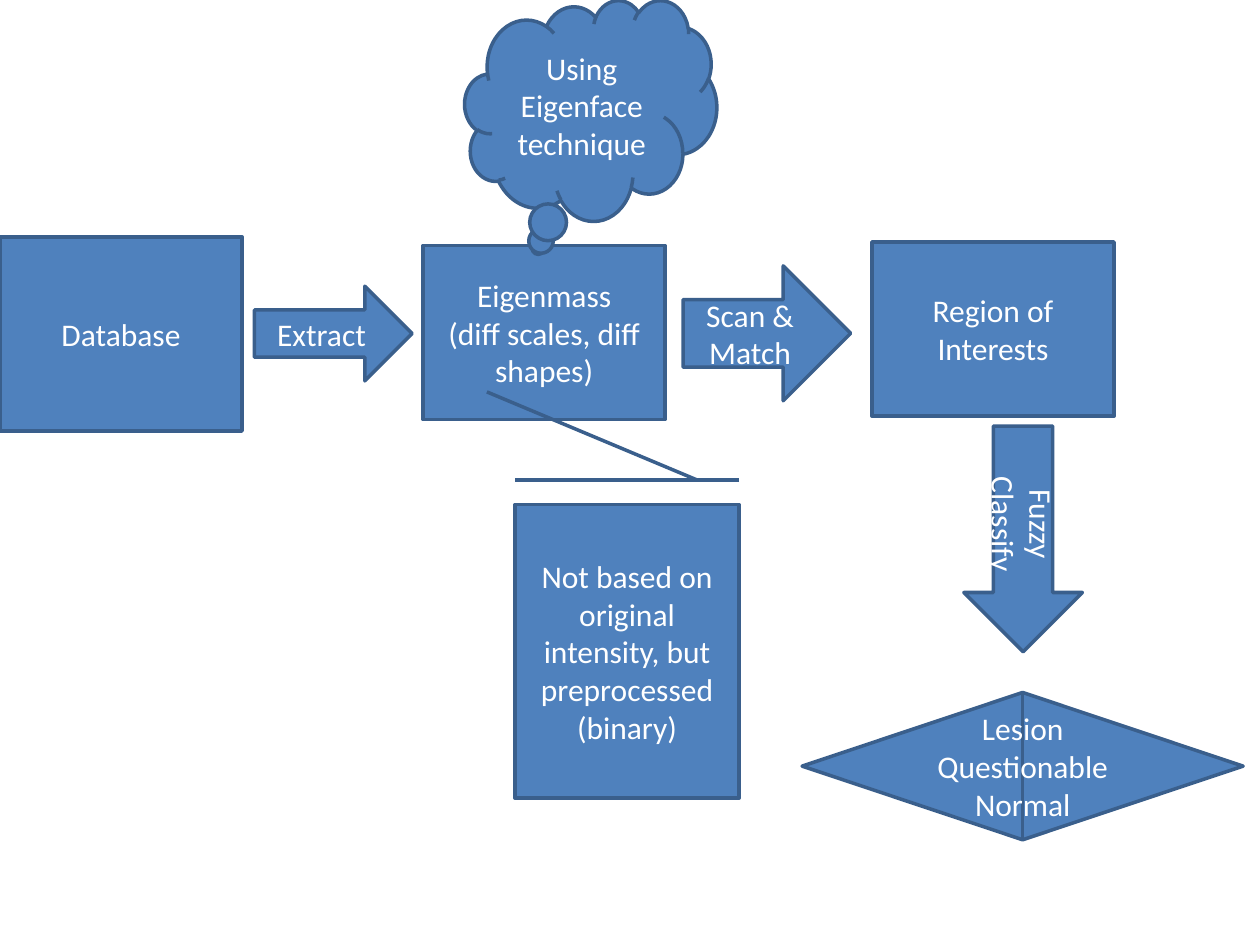
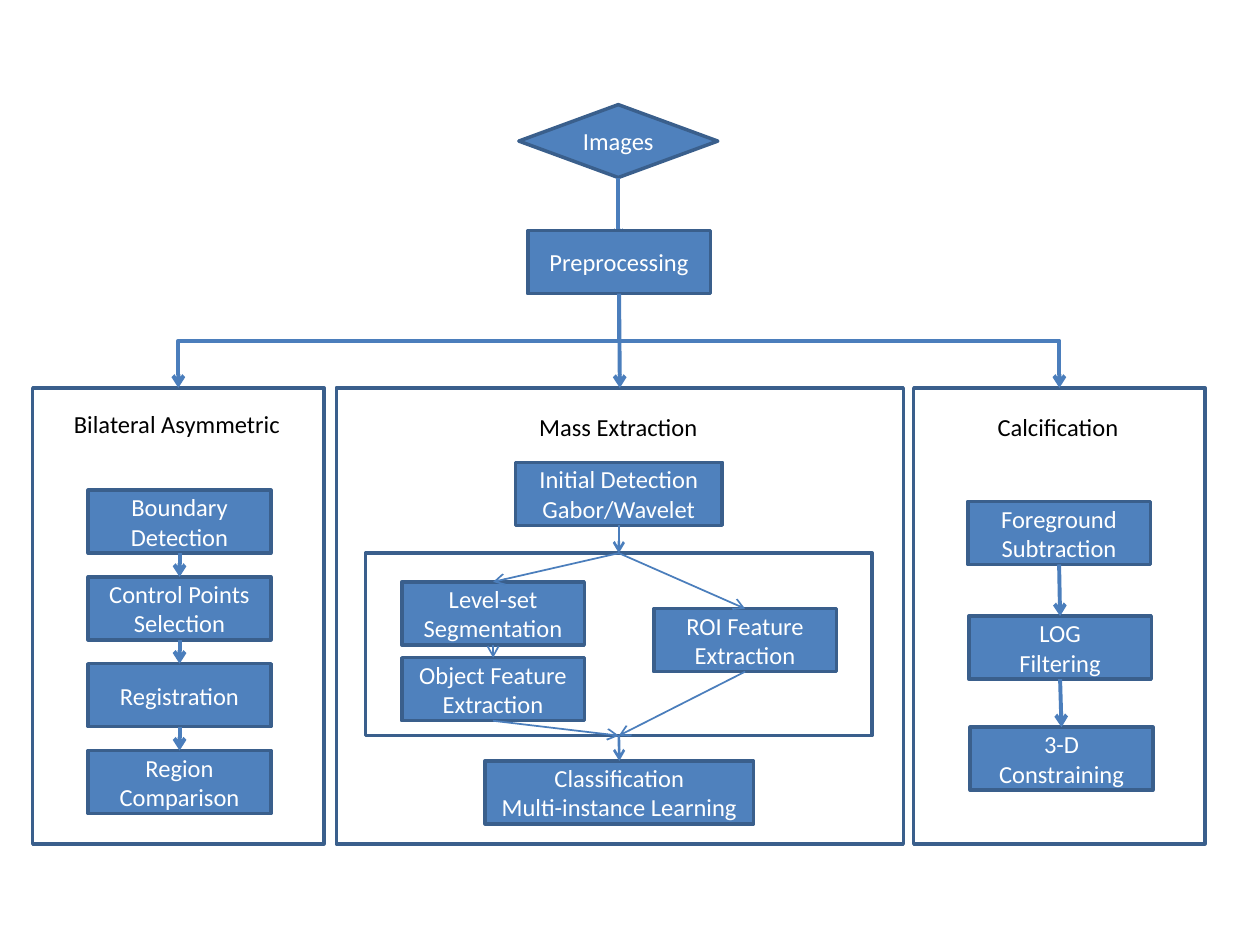
from dataclasses import dataclass

from lxml import etree
from pptx import Presentation
from pptx.dml.color import RGBColor
from pptx.enum import shapes, text
from pptx.oxml.ns import qn
from pptx.util import Cm, Pt

# Shared style
FONT = "Calibri"
BLUE, EDGE, ARROW = "4F81BD", "3A5F8C", "4B7EBC"
WHITE, BLACK = "FFFFFF", "000000"
BLANK_LAYOUT = 6
Kind = shapes.MSO_SHAPE


@dataclass
class Node:
    """A flow chart shape; lengths in centimetres."""
    label: str
    left: float
    top: float
    width: float = 3.68
    height: float = 1.27
    kind: Kind = Kind.FLOWCHART_PROCESS
    fill: str | None = BLUE
    rotation: int = 0
    direction: str | None = None

    @property
    def head(self) -> tuple[float, float]:
        return self.left + self.width / 2, self.top

    @property
    def foot(self) -> tuple[float, float]:
        return self.left + self.width / 2, self.top + self.height


def colour(hex_code: str) -> RGBColor:
    return RGBColor.from_string(hex_code)


def write(frame, content: str, *, size: int, ink: str, align=None) -> None:
    """Fill a text frame, one paragraph a line."""
    for number, line in enumerate(content.split("\n")):
        paragraph = frame.add_paragraph() if number else frame.paragraphs[0]
        paragraph.alignment = align
        run = paragraph.add_run()
        run.text = line
        run.font.name, run.font.size = FONT, Pt(size)
        run.font.color.rgb = colour(ink)


def draw_node(slide, node: Node, size: int) -> None:
    box = slide.shapes.add_shape(node.kind, Cm(node.left), Cm(node.top),
                                 Cm(node.width), Cm(node.height))
    box.shadow.inherit = False
    box.rotation = node.rotation
    if node.fill:
        box.fill.solid()
        box.fill.fore_color.rgb = colour(node.fill)
    else:
        box.fill.background()
    box.line.color.rgb = colour(EDGE)
    box.line.width = Pt(2)
    if node.label:
        frame = box.text_frame
        frame.word_wrap = True
        frame.vertical_anchor = text.MSO_ANCHOR.MIDDLE
        if node.direction:
            frame._txBody.bodyPr.set("vert", node.direction)
        write(frame, node.label, size=size, ink=WHITE, align=text.PP_ALIGN.CENTER)


def draw_caption(slide, content: str, left: float, top: float, width: float) -> None:
    frame = slide.shapes.add_textbox(Cm(left), Cm(top), Cm(width), Cm(0.86)).text_frame
    frame.word_wrap = False
    frame.auto_size = text.MSO_AUTO_SIZE.SHAPE_TO_FIT_TEXT
    write(frame, content, size=14, ink=BLACK)


def draw_arrow(slide, start: tuple[float, float], end: tuple[float, float],
               weight: float = 2.25, bent: bool = False) -> None:
    """Draw an arrow; a bent one leaves downwards, turns and arrives downwards."""
    (x1, y1), (x2, y2) = start, end
    rightward = x2 > x1
    kind = shapes.MSO_CONNECTOR.STRAIGHT
    if bent:
        # A bent connector runs sideways, so lay it flat before turning it
        kind = shapes.MSO_CONNECTOR.ELBOW
        middle_x, middle_y = (x1 + x2) / 2, (y1 + y2) / 2
        reach = (y2 - y1) / 2 * (-1 if rightward else 1)
        spread = abs(x2 - x1) / 2
        x1, x2 = middle_x - reach, middle_x + reach
        y1, y2 = middle_y - spread, middle_y + spread
    arrow = slide.shapes.add_connector(kind, Cm(x1), Cm(y1), Cm(x2), Cm(y2))
    arrow.line.color.rgb = colour(ARROW)
    arrow.line.width = Pt(weight)
    properties = arrow._element.spPr
    if bent:
        turn = 270 if rightward else 90
        properties.find(qn("a:xfrm")).set("rot", str(turn * 60000))
    etree.SubElement(properties.find(qn("a:ln")), qn("a:tailEnd"), type="arrow")
    etree.SubElement(properties, qn("a:effectLst"))


def build_eigenmass_slide(slide) -> None:
    stages = [
        Node("Database", 0, 4.78, 4.88, 3.91, Kind.RECTANGLE),
        Node("Eigenmass\n(diff scales, diff shapes)", 8.53, 4.95, 4.88, 3.51,
             Kind.RECTANGLE),
        Node("Extract", 5.13, 5.77, 3.18, 1.91, Kind.RIGHT_ARROW),
        Node("Scan & Match", 13.77, 5.36, 3.38, 2.72, Kind.RIGHT_ARROW),
        Node("Region of Interests", 17.58, 4.88, 4.88, 3.51, Kind.RECTANGLE),
        Node("Using Eigenface technique", 9.37, 0, 5.08, 4.45, Kind.CLOUD_CALLOUT),
        Node("Not based on original intensity, but preprocessed (binary)",
             9.68, 10.87, 5.92, 4.52, Kind.LINE_CALLOUT_1_BORDER_AND_ACCENT_BAR,
             rotation=90, direction="vert270"),
        Node("Fuzzy Classify", 19.43, 8.59, 2.39, 4.55, Kind.DOWN_ARROW,
             direction="vert"),
        Node("Lesion Questionable Normal", 19.13, 11, 2.97, 8.89,
             Kind.FLOWCHART_SORT, rotation=90, direction="vert270"),
    ]
    for stage in stages:
        draw_node(slide, stage, 18)


def build_detection_slide(slide) -> None:
    # Frames and their captions
    panel_top, panel_height = 7.82, 9.19
    asymmetry, mass, calcification = panels = [
        Node("", left, panel_top, width, panel_height, fill=None)
        for left, width in [(0.66, 5.87), (6.78, 11.43), (18.42, 5.87)]]
    features = Node("", 7.37, 11.15, 10.21, 3.68, fill=None)
    for frame in panels + [features]:
        draw_node(slide, frame, 14)
    draw_caption(slide, "Bilateral Asymmetric", 1.24, 8.13, 4.7)
    draw_caption(slide, "Mass Extraction", 10.62, 8.18, 3.73)
    draw_caption(slide, "Calcification", 19.86, 8.18, 2.97)

    # Input; its arrow tip lies behind the preprocessing box
    images = Node("Images", 10.46, 2.11, 4.01, 1.47, Kind.FLOWCHART_DECISION)
    preprocessing = Node("Preprocessing", 10.64, 4.65)
    draw_node(slide, images, 14)
    draw_arrow(slide, images.foot, (images.foot[0], 4.88))

    # Steps of the three branches
    asymmetry_steps = [
        Node(label, 1.78, 9.88 + 1.75 * row) for row, label in enumerate(
            ["Boundary Detection", "Control Points Selection",
             "Registration", "Region Comparison"])]
    calcification_steps = [
        Node("Foreground Subtraction", 19.51, 10.11),
        Node("LOG\nFiltering", 19.53, 12.42),
        Node("3-D Constraining", 19.56, 14.66)]
    detection = Node("Initial Detection\nGabor/Wavelet", 10.39, 9.32, 4.17)
    level_set = Node("Level-set\nSegmentation", 8.1, 11.73)
    roi = Node("ROI Feature Extraction", 13.18, 12.27)
    objects = Node("Object Feature Extraction", 8.1, 13.26)
    classification = Node("Classification\nMulti-instance Learning", 9.78, 15.34, 5.41)
    for step in [preprocessing, *asymmetry_steps, *calcification_steps,
                 detection, level_set, roi, objects, classification]:
        draw_node(slide, step, 14)

    # Arrows from preprocessing to each branch, then down the side branches
    for panel in panels:
        draw_arrow(slide, preprocessing.foot, panel.head, bent=panel is not mass)
    for steps in (asymmetry_steps, calcification_steps):
        for upper, lower in zip(steps, steps[1:]):
            draw_arrow(slide, upper.foot, lower.head)

    # Arrows of the mass branch
    for start, end, weight in [
            (detection.foot, features.head, 1.5),
            (features.foot, classification.head, 1.5),
            (features.head, level_set.head, 1),
            (features.head, roi.head, 1),
            (level_set.foot, objects.head, 1),
            (objects.foot, features.foot, 1),
            (roi.foot, features.foot, 1)]:
        draw_arrow(slide, start, end, weight)


def main() -> None:
    deck = Presentation()
    deck.slide_width, deck.slide_height = Cm(25.4), Cm(19.05)
    for build in (build_eigenmass_slide, build_detection_slide):
        build(deck.slides.add_slide(deck.slide_layouts[BLANK_LAYOUT]))
    deck.save("out.pptx")


if __name__ == "__main__":
    main()
